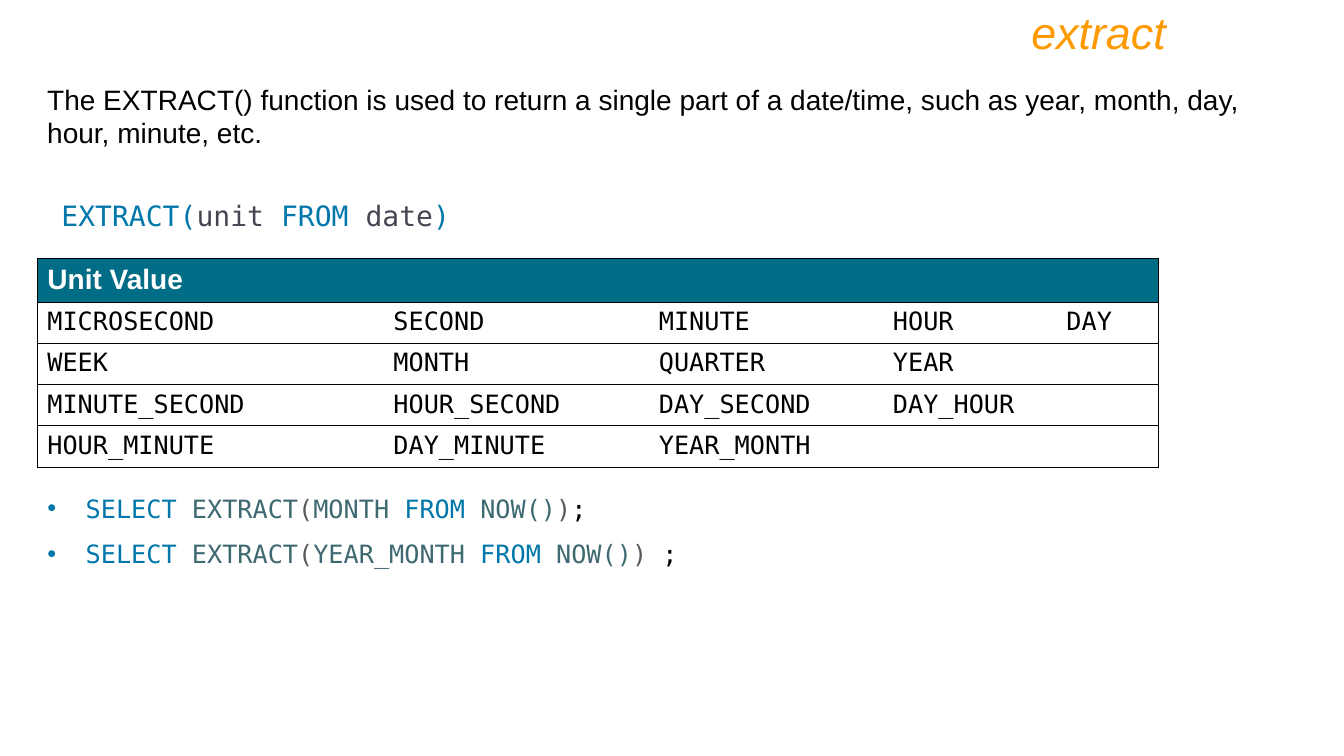
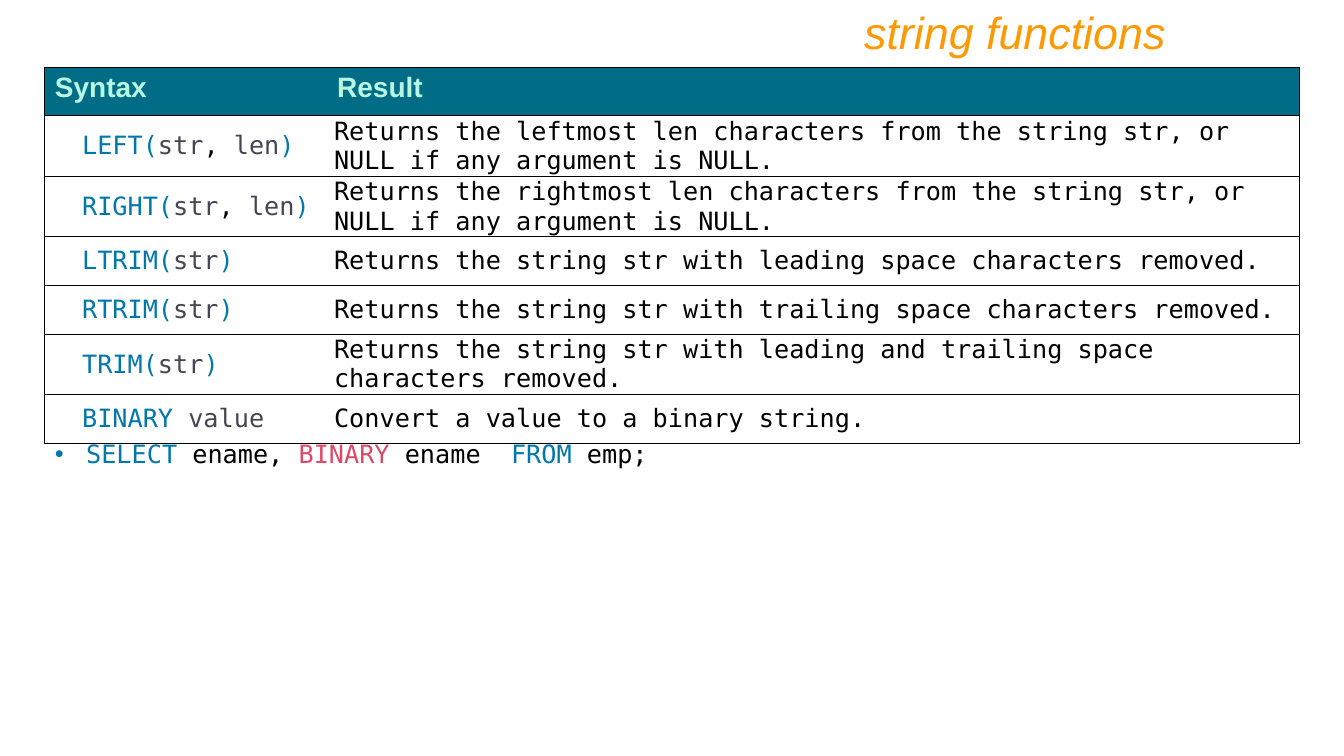
from lxml.etree import SubElement
from pptx import Presentation
from pptx.dml.color import RGBColor as Color
from pptx.enum.text import MSO_ANCHOR as Anchor, MSO_AUTO_SIZE as AutoSize, PP_ALIGN as Align
from pptx.oxml.ns import qn
from pptx.util import Inches, Pt


class Theme:
    orange = "FF9900"
    teal = "006C86"
    white = "FFFFFF"
    mint = "B7F7E2"
    black = "000000"
    keyword = "0077AA"
    argument = "464653"
    function = "3F6971"
    bracket = "595959"
    operator = "DD4A68"
    title = {"name": "Arial", "size": Pt(32), "italic": True, "bold": False}
    text = {"name": "Arial", "size": Pt(20)}
    header = {"name": "Arial", "size": Pt(20), "bold": True}
    syntax = {"name": "DejaVu Sans Mono", "size": Pt(20)}
    code = {"name": "DejaVu Sans Mono", "size": Pt(18)}
    border = Pt(0.75)
    plain_table = "{2D5ABB26-0587-4C30-8999-92F81FD0307C}"


presentation = Presentation()
presentation.slide_width = Inches(13.33)
presentation.slide_height = Inches(7.5)
COLUMN = presentation.slide_width / 120
ROW = presentation.slide_height / 90


def place(shape, left, top, width, height):
    box = {"left": left * COLUMN, "top": top * ROW, "width": width * COLUMN, "height": height * ROW}
    for name, value in box.items():
        setattr(shape, name, int(value))
    frame = shape.text_frame
    frame.word_wrap = True
    frame.auto_size = AutoSize.SHAPE_TO_FIT_TEXT
    frame.vertical_anchor = Anchor.TOP
    return frame


def write(paragraph, pieces, font_format):
    for text, color in pieces:
        run = paragraph.add_run()
        run.text = text
        for name, value in font_format.items():
            setattr(run.font, name, value)
        run.font.color.rgb = Color.from_string(color)


unit_rows = [
    ["MICROSECOND", "SECOND", "MINUTE", "HOUR", "DAY"],
    ["WEEK", "MONTH", "QUARTER", "YEAR"],
    ["MINUTE_SECOND", "HOUR_SECOND", "DAY_SECOND", "DAY_HOUR"],
    ["HOUR_MINUTE", "DAY_MINUTE", "YEAR_MONTH"],
]
string_functions = [
    ("LEFT", ["str", " len"],
     "Returns the leftmost len characters from the string str, or NULL if any argument is NULL."),
    ("RIGHT", ["str", " len"],
     "Returns the rightmost len characters from the string str, or NULL if any argument is NULL."),
    ("LTRIM", ["str"], "Returns the string str with leading space characters removed."),
    ("RTRIM", ["str"], "Returns the string str with trailing space characters removed."),
    ("TRIM", ["str"], "Returns the string str with leading and trailing space characters removed."),
]
string_rows = []
for name, arguments, result in string_functions:
    signature = [(name + "(", Theme.keyword), (arguments[0], Theme.argument)]
    for argument in arguments[1:]:
        signature += [(",", Theme.black), (argument, Theme.argument)]
    string_rows.append([signature + [(")", Theme.keyword)], [(result, Theme.black)]])
string_rows.append([
    [("BINARY ", Theme.keyword), ("value", Theme.argument)],
    [("Convert a value to a binary string.", Theme.black)],
])

pages = [
    {
        "title": "extract",
        "rows": [[[("Unit Value", Theme.white)]]]
        + [[[(unit, Theme.black)] for unit in units] for units in unit_rows],
        "table_at": (3.33, 30.8),
        "widths": [30.9, 23.7, 20.9, 15.5, 9.1],
        "row_height": 4.9,
        "cell_formats": [{}] * 5,
        "bullets": [
            [("SELECT ", Theme.keyword), ("EXTRACT", Theme.function), ("(", Theme.bracket),
             (unit, Theme.function), ("FROM ", Theme.keyword), ("NOW()", Theme.function),
             (")", Theme.bracket), (end, Theme.black)]
            for unit, end in [("MONTH ", ";"), ("YEAR_MONTH ", " ;")]
        ],
        "bullets_at": (3.33, 56.3, 83.3, 11.4),
        "indent": 0.38,
        "line_spacing": 1.5,
    },
    {
        "title": "string functions",
        "rows": [[[("Syntax", Theme.mint)], [("Result", Theme.mint)]]] + string_rows,
        "table_at": (4, 8),
        "widths": [25.2, 86.8],
        "row_height": 5.8,
        "cell_formats": [
            {"margin_left": Inches(left), "margin_right": Inches(0.07), "margin_top": 0,
             "margin_bottom": 0, "vertical_anchor": Anchor.MIDDLE}
            for left in (0.37, 0.07)
        ],
        "bullets": [
            [("SELECT", Theme.keyword), (" ename, ", Theme.black), ("BINARY", Theme.operator),
             (" ename  ", Theme.black), ("FROM", Theme.keyword), (" emp;", Theme.black)],
        ],
        "bullets_at": (4, 51.6, 112, 4.8),
        "indent": 0.31,
        "line_spacing": 1.0,
    },
]

for page in pages:
    slide = presentation.slides.add_slide(presentation.slide_layouts[1])
    title = place(slide.shapes.title, 15, 0, 90, 7.7).paragraphs[0]
    title.alignment = Align.RIGHT
    write(title, [(page["title"], Theme.orange)], Theme.title)

    rows, widths = page["rows"], page["widths"]
    left, top = page["table_at"]
    table = slide.shapes.add_table(
        len(rows), len(widths), int(left * COLUMN), int(top * ROW),
        int(sum(widths) * COLUMN), int(len(rows) * page["row_height"] * ROW),
    ).table
    table._tbl.tblPr.find(qn("a:tableStyleId")).text = Theme.plain_table
    for column, width in zip(table.columns, widths):
        column.width = int(width * COLUMN)
    if len(rows[0]) < len(widths):
        table.cell(0, 0).merge(table.cell(0, len(widths) - 1))

    for row_index, row in enumerate(rows):
        for column_index in range(len(widths)):
            cell = table.cell(row_index, column_index)
            sides = ["L"] if column_index == 0 else []
            if column_index == len(widths) - 1 or cell.is_merge_origin:
                sides.append("R")
            for side in sides + ["T", "B"]:
                line = SubElement(cell._tc.get_or_add_tcPr(), qn("a:ln" + side), w=str(Theme.border))
                SubElement(SubElement(line, qn("a:solidFill")), qn("a:srgbClr"), val=Theme.black)
            if row_index == 0:
                cell.fill.solid()
                cell.fill.fore_color.rgb = Color.from_string(Theme.teal)
            else:
                cell.fill.background()
                for name, value in page["cell_formats"][column_index].items():
                    setattr(cell, name, value)
            if column_index < len(row):
                font_format = Theme.code if row_index else Theme.header
                write(cell.text_frame.paragraphs[0], row[column_index], font_format)

    frame = place(slide.placeholders[1], *page["bullets_at"])
    for index, pieces in enumerate(page["bullets"]):
        paragraph = frame.add_paragraph() if index else frame.paragraphs[0]
        properties = paragraph._p.get_or_add_pPr()
        properties.set("marL", str(Inches(page["indent"])))
        properties.set("indent", str(-Inches(page["indent"])))
        SubElement(SubElement(properties, qn("a:buClr")), qn("a:srgbClr"), val=Theme.keyword)
        SubElement(properties, qn("a:buFont"), typeface="Arial")
        SubElement(properties, qn("a:buChar"), char="•")
        paragraph.line_spacing = page["line_spacing"]
        paragraph.space_before = Pt(0)
        write(paragraph, pieces, Theme.code)

extract_slide = presentation.slides[0]
text_boxes = [
    ((3.33, 9.2, 113.4, 9.2), Theme.text, [
        ("The EXTRACT() function is used to return a single part of a date/time, "
         "such as year, month, day, hour, minute, etc.", Theme.black),
    ]),
    ((4.6, 23, 39, 5.3), Theme.syntax, [
        ("EXTRACT(", Theme.keyword), ("unit", Theme.argument), (" FROM ", Theme.keyword),
        ("date", Theme.argument), (")", Theme.keyword),
    ]),
]
for position, font_format, pieces in text_boxes:
    frame = place(extract_slide.shapes.add_textbox(0, 0, 0, 0), *position)
    write(frame.paragraphs[0], pieces, font_format)

presentation.save("out.pptx")
